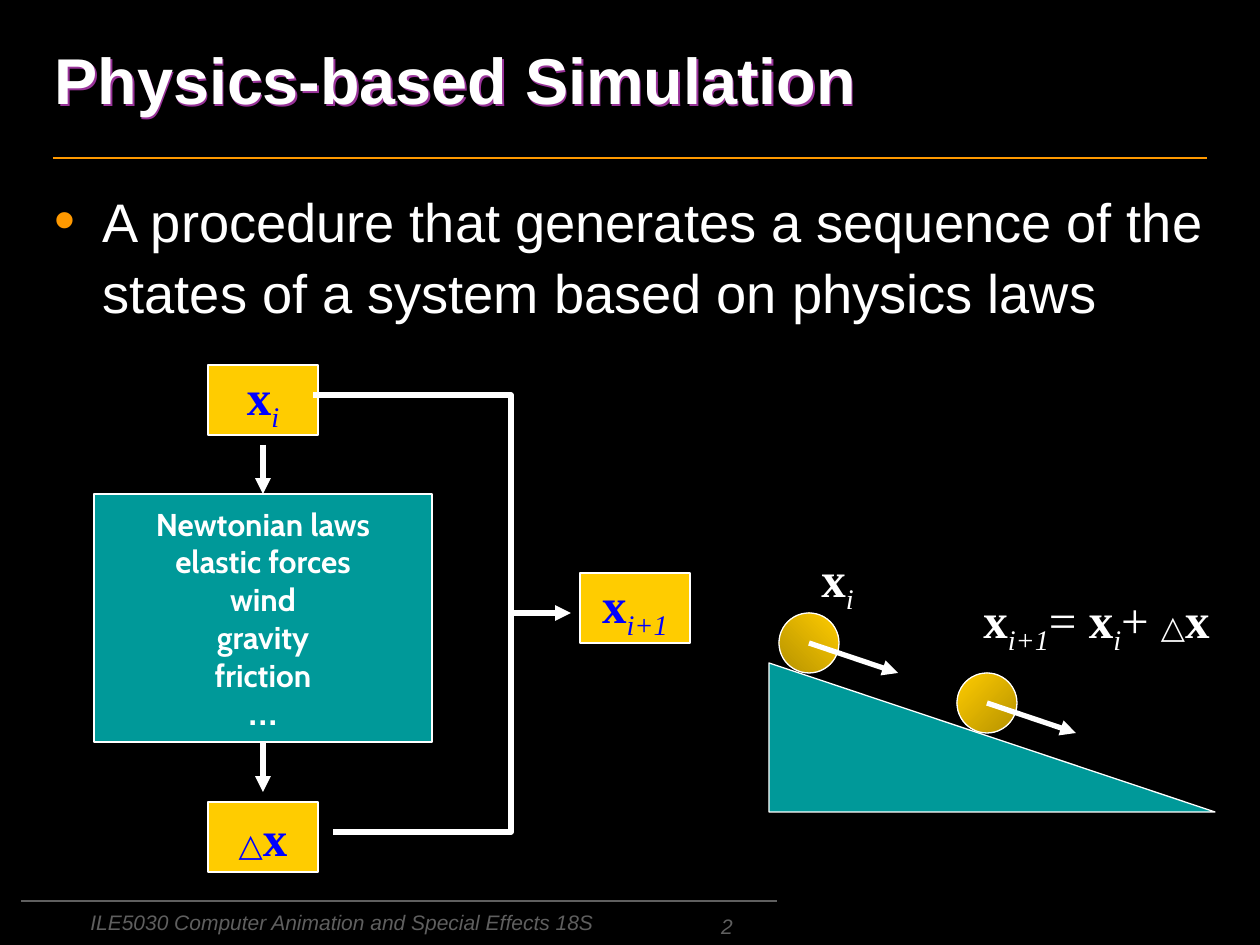
from dataclasses import dataclass

from lxml.etree import SubElement
from pptx import Presentation
from pptx.dml.color import RGBColor
from pptx.enum.shapes import MSO_CONNECTOR as Connector, MSO_SHAPE as Shape
from pptx.enum.text import MSO_ANCHOR as Anchor, MSO_AUTO_SIZE as AutoSize, PP_ALIGN as Align
from pptx.oxml.ns import qn
from pptx.util import Emu, Pt

SCALE = 914400 / 126


@dataclass(frozen=True)
class Theme:
    """Colours, fonts and type sizes of the slide."""
    black: str = "000000"
    white: str = "FFFFFF"
    orange: str = "FF9900"
    grey: str = "5F5F5F"
    purple: str = "993399"
    teal: str = "009999"
    yellow: str = "FFCC00"
    ochre: str = "B69200"
    blue: str = "0000FF"
    sans: str = "Arial"
    label: str = "Cabin"
    serif: str = "Times New Roman"
    title_size: int = 37
    body_size: int = 31
    symbol_size: int = 28
    label_size: int = 18
    footer_size: int = 12


THEME = Theme()
X, DELTA = ("x", "bold"), ("△", "delta")


def px(*lengths):
    """Turn pixel lengths into EMU."""
    return [Emu(round(length * SCALE)) for length in lengths]


def rgb(color):
    """Turn a hex string into a colour."""
    return RGBColor.from_string(color)


def style_font(font, name, size, color, bold=False, italic=False):
    """Set every visible property of a font."""
    font.name, font.size = name, Pt(size)
    font.bold, font.italic = bold, italic
    font.color.rgb = rgb(color)


def place(shape, box):
    """Move and size a shape."""
    shape.left, shape.top, shape.width, shape.height = px(*box)


def write_formula(frame, parts, color):
    """Write bold, plain, subscript and delta runs in one paragraph."""
    paragraph = frame.paragraphs[0]
    for text, kind in parts:
        run = paragraph.add_run()
        run.text = text
        delta = kind == "delta"
        style_font(run.font, THEME.label if delta else THEME.serif,
                   THEME.label_size if delta else THEME.symbol_size,
                   color, kind == "bold", kind == "sub")
        if kind == "sub":
            run.font._element.set("baseline", "-25000")
    return paragraph


def add_title(slide, text):
    """Fill the title placeholder and give its text a coloured shadow."""
    title = slide.shapes.title
    place(title, (42, 0, 924, 158))
    frame = title.text_frame
    frame.text = text
    frame.auto_size, frame.vertical_anchor = AutoSize.NONE, Anchor.MIDDLE
    paragraph = frame.paragraphs[0]
    paragraph.alignment = Align.LEFT
    style_font(paragraph.font, THEME.sans, THEME.title_size, THEME.white, bold=True)
    title.fill.background()
    effects = SubElement(title._element.spPr, qn("a:effectLst"))
    shadow = SubElement(effects, qn("a:outerShdw"), dist="17961", dir="2700000")
    SubElement(shadow, qn("a:srgbClr"), val=THEME.purple)


def add_body(slide, text):
    """Fill the body placeholder with one bulleted paragraph."""
    body = slide.placeholders[1]
    place(body, (42, 175, 1196, 694))
    frame = body.text_frame
    frame.text = text
    frame.auto_size = AutoSize.NONE
    paragraph = frame.paragraphs[0]
    paragraph.line_spacing = 1.1
    paragraph.space_before = paragraph.space_after = Pt(6)
    properties = paragraph._p.get_or_add_pPr()
    indent = px(48)[0]
    properties.set("marL", str(indent))
    properties.set("indent", str(-indent))
    bullet_color = SubElement(properties, qn("a:buClr"))
    SubElement(bullet_color, qn("a:srgbClr"), val=THEME.orange)
    SubElement(properties, qn("a:buSzPct"), val="110000")
    SubElement(properties, qn("a:buFont"), typeface=THEME.sans)
    SubElement(properties, qn("a:buChar"), char="•")
    style_font(paragraph.font, THEME.sans, THEME.body_size, THEME.white)


def add_footer(slide, box, text, alignment, anchor):
    """Add one italic footer text."""
    frame = slide.shapes.add_textbox(*px(*box)).text_frame
    frame.word_wrap, frame.vertical_anchor = True, anchor
    frame.text = text
    paragraph = frame.paragraphs[0]
    paragraph.alignment = alignment
    style_font(paragraph.font, THEME.sans, THEME.footer_size, THEME.grey, italic=True)


def add_figure(slide, kind, box, color):
    """Add a filled preset shape with a thin white outline."""
    shape = slide.shapes.add_shape(kind, *px(*box))
    shape.shadow.inherit = False
    shape.fill.solid()
    shape.fill.fore_color.rgb = rgb(color)
    shape.line.color.rgb = rgb(THEME.white)
    shape.line.width = Pt(0.75)
    shape.text_frame.word_wrap = False
    shape.text_frame.vertical_anchor = Anchor.MIDDLE
    return shape


def add_state(slide, left, top, parts):
    """Add a yellow state box with a formula."""
    shape = add_figure(slide, Shape.RECTANGLE, (left, top, 110, 70), THEME.yellow)
    write_formula(shape.text_frame, parts, THEME.blue).alignment = Align.CENTER


def add_laws(slide, lines):
    """Add the box that lists the physics laws."""
    shape = add_figure(slide, Shape.RECTANGLE, (94, 494, 338, 248), THEME.teal)
    frame = shape.text_frame
    frame.text = "\n".join(lines)
    for paragraph in frame.paragraphs:
        paragraph.alignment = Align.CENTER
        name = THEME.sans if paragraph.text == "…" else THEME.label
        style_font(paragraph.font, name, THEME.label_size, THEME.white, bold=True)
    return shape


def add_ball(slide, left, top, colors, angle):
    """Add a ball with a two-colour gradient."""
    ball = add_figure(slide, Shape.OVAL, (left, top, 60, 60), THEME.yellow)
    ball.fill.gradient()
    ball.fill.gradient_angle = angle
    for stop, color in zip(ball.fill.gradient_stops, colors):
        stop.color.rgb = rgb(color)


def add_formula(slide, box, parts):
    """Add a white formula without a box."""
    frame = slide.shapes.add_textbox(*px(*box)).text_frame
    frame.word_wrap, frame.auto_size = False, AutoSize.SHAPE_TO_FIT_TEXT
    write_formula(frame, parts, THEME.white)


def add_line(slide, ends, color, width=1, arrow=False):
    """Add a straight line, with an arrowhead on request."""
    line = slide.shapes.add_connector(Connector.STRAIGHT, *px(*ends))
    line.line.color.rgb = rgb(color)
    line.line.width = Pt(width)
    if arrow:
        SubElement(line.line._get_or_add_ln(), qn("a:tailEnd"), type="triangle")
    SubElement(line._element.spPr, qn("a:effectLst"))
    return line


def add_bracket(slide, points):
    """Add an open white outline through the points."""
    builder = slide.shapes.build_freeform(*points[0], scale=SCALE)
    builder.add_line_segments(points[1:], close=False)
    bracket = builder.convert_to_shape()
    bracket.shadow.inherit = False
    bracket.fill.background()
    bracket.line.color.rgb = rgb(THEME.white)
    bracket.line.width = Pt(3)


def main():
    """Build and save the slide."""
    presentation = Presentation()
    presentation.slide_width, presentation.slide_height = px(1260, 945)
    slide = presentation.slides.add_slide(presentation.slide_layouts[1])
    slide.background.fill.solid()
    slide.background.fill.fore_color.rgb = rgb(THEME.black)

    add_line(slide, (53, 158, 1207, 158), THEME.orange)
    add_line(slide, (21, 901, 777, 901), THEME.grey)
    add_footer(slide, (78, 903, 626, 42), "ILE5030 Computer Animation and Special Effects 18S",
               Align.LEFT, Anchor.TOP)
    add_footer(slide, (451, 911, 294, 34), "2", Align.RIGHT, Anchor.BOTTOM)
    add_title(slide, "Physics-based Simulation")
    add_body(slide, "A procedure that generates a sequence of the states of a system based on physics laws")

    laws = add_laws(slide, ["Newtonian laws", "elastic forces", "wind", "gravity", "friction", "…"])
    current, following = [X, ("i", "sub")], [X, ("i+1", "sub")]
    add_state(slide, 208, 365, current)
    add_state(slide, 580, 573, following)
    add_state(slide, 208, 802, [DELTA, X])
    add_line(slide, (263, 445, 263, 494), THEME.white, 3, True).end_connect(laws, 0)
    add_line(slide, (263, 742, 263, 792), THEME.white, 3, True).begin_connect(laws, 2)
    add_bracket(slide, [(313, 395), (511, 395), (511, 832), (333, 832)])
    add_line(slide, (511, 613, 571, 613), THEME.white, 3, True)

    add_ball(slide, 779, 613, (THEME.ochre, THEME.yellow), 45)
    add_ball(slide, 957, 673, (THEME.yellow, THEME.ochre), 315)
    add_formula(slide, (809, 542, 59, 72), current)
    add_formula(slide, (971, 583, 278, 72),
                following + [("= ", "plain")] + current + [("+ ", "plain"), DELTA, X])
    add_figure(slide, Shape.RIGHT_TRIANGLE, (769, 663, 446, 149), THEME.teal)
    for left, top in ((809, 643), (987, 703)):
        add_line(slide, (left, top, left + 89, top + 30), THEME.white, 3, True)

    presentation.save("out.pptx")


if __name__ == "__main__":
    main()
